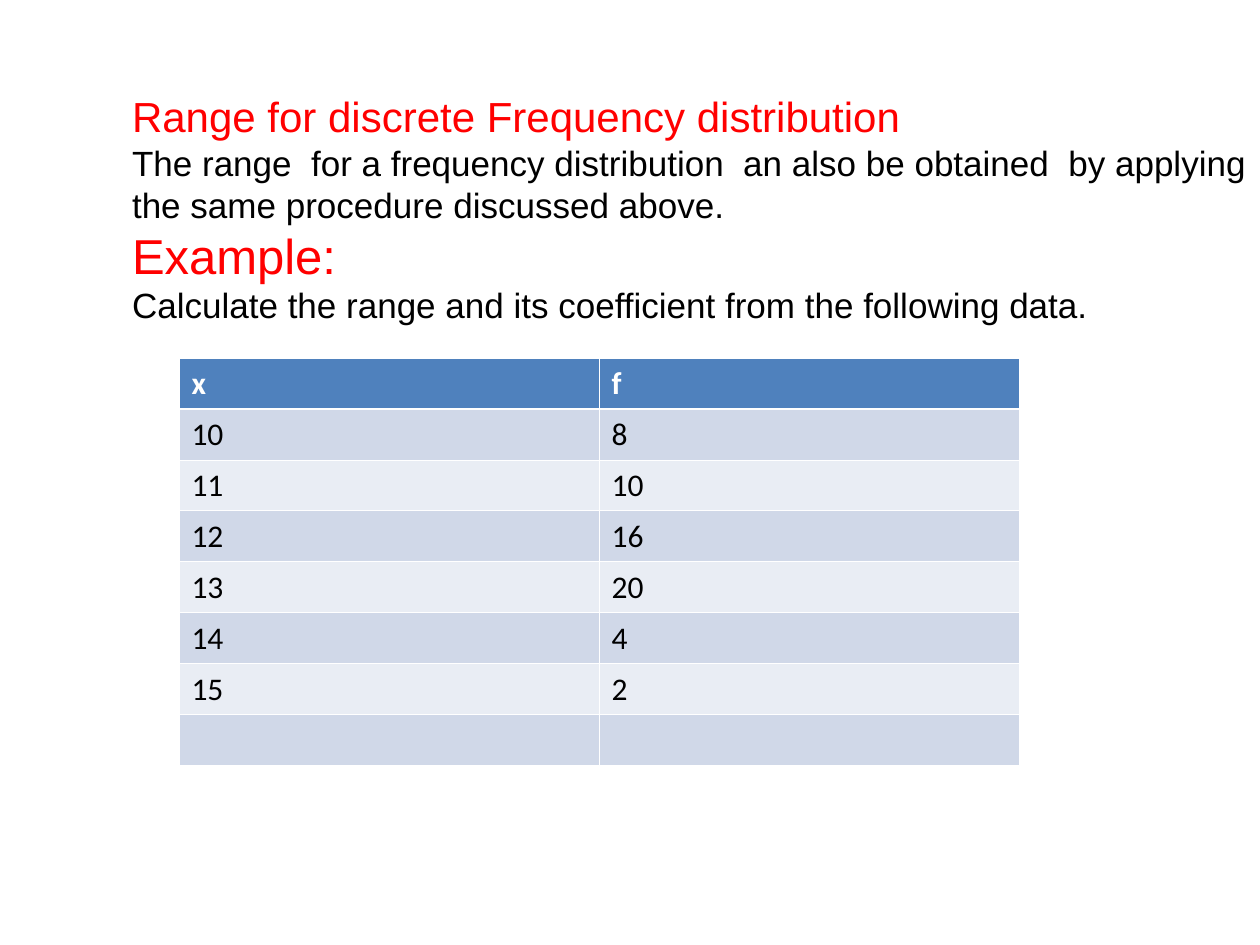
"""Build the slide on the range of a discrete frequency distribution."""
from dataclasses import dataclass
from typing import NamedTuple

from lxml.etree import SubElement
from pptx import Presentation
from pptx.dml.color import RGBColor
from pptx.oxml.ns import qn
from pptx.util import Inches, Pt


@dataclass(frozen=True)
class Theme:
    red: RGBColor = RGBColor(0xFF, 0, 0)
    black: RGBColor = RGBColor(0, 0, 0)
    white: RGBColor = RGBColor(0xFF, 0xFF, 0xFF)
    head: RGBColor = RGBColor(0x4F, 0x81, 0xBD)
    bands: tuple = (RGBColor(0xD0, 0xD8, 0xE8), RGBColor(0xE9, 0xED, 0xF4))
    title: int = 24
    body: int = 20
    label: int = 28
    cell: int = 18
    thin: float = 0.45
    thick: float = 1.47
    prose: str = "Arial"
    grid: str = "Calibri"


class Line(NamedTuple):
    text: str
    size: int
    color: RGBColor


class Row(NamedTuple):
    x: str
    f: str


THEME = Theme()
LINES = [
    Line("Range for discrete Frequency distribution", THEME.title, THEME.red),
    Line("The range  for a frequency distribution  an also be obtained  by applying",
         THEME.body, THEME.black),
    Line("the same procedure discussed above.", THEME.body, THEME.black),
    Line("Example:", THEME.label, THEME.red),
    Line("Calculate the range and its coefficient from the following data.",
         THEME.body, THEME.black),
]
ROWS = [Row("x", "f"), Row("10", "8"), Row("11", "10"), Row("12", "16"),
        Row("13", "20"), Row("14", "4"), Row("15", "2"), Row("", "")]


def write(para, text: str, *, size: int, color: RGBColor, font: str,
          bold: bool = False) -> None:
    run = para.add_run()
    run.text = text
    run.font.size = Pt(size)
    run.font.name = font
    run.font.bold = bold
    run.font.color.rgb = color


def edge(cell, side: str, width: float) -> None:
    props = cell._tc.get_or_add_tcPr()
    line = SubElement(props, qn(f"a:ln{side}"), w=str(Pt(width)))
    fill = SubElement(line, qn("a:solidFill"))
    SubElement(fill, qn("a:srgbClr"), val=str(THEME.white))


def prose(slide, lines: list[Line]) -> None:
    box = slide.shapes.add_textbox(Inches(0.95), Inches(0.67),
                                   Inches(9.13), Inches(1.97))
    frame = box.text_frame
    frame.word_wrap = False
    for i, line in enumerate(lines):
        para = frame.add_paragraph() if i else frame.paragraphs[0]
        write(para, line.text, size=line.size, color=line.color, font=THEME.prose)


def paint(cell, text: str, row: int) -> None:
    top = row == 0
    for side in "LRTB":
        thick = (row, side) in ((0, "B"), (1, "T"))
        edge(cell, side, THEME.thick if thick else THEME.thin)
    cell.fill.solid()
    cell.fill.fore_color.rgb = THEME.head if top else THEME.bands[(row - 1) % 2]
    if text:
        write(cell.text_frame.paragraphs[0], text, size=THEME.cell, bold=top,
              color=THEME.white if top else THEME.black, font=THEME.grid)


def grid(slide, rows: list[Row]) -> None:
    table = slide.shapes.add_table(
        len(rows), len(Row._fields), Inches(1.42), Inches(2.84),
        Inches(6.67), Inches(3.24)).table
    for r, row in enumerate(rows):
        for c, text in enumerate(row):
            paint(table.cell(r, c), text, r)


def main() -> None:
    deck = Presentation()
    deck.slide_width, deck.slide_height = Inches(10), Inches(7.5)
    slide = deck.slides.add_slide(deck.slide_layouts[6])
    prose(slide, LINES)
    grid(slide, ROWS)
    deck.save("out.pptx")


if __name__ == "__main__":
    main()
